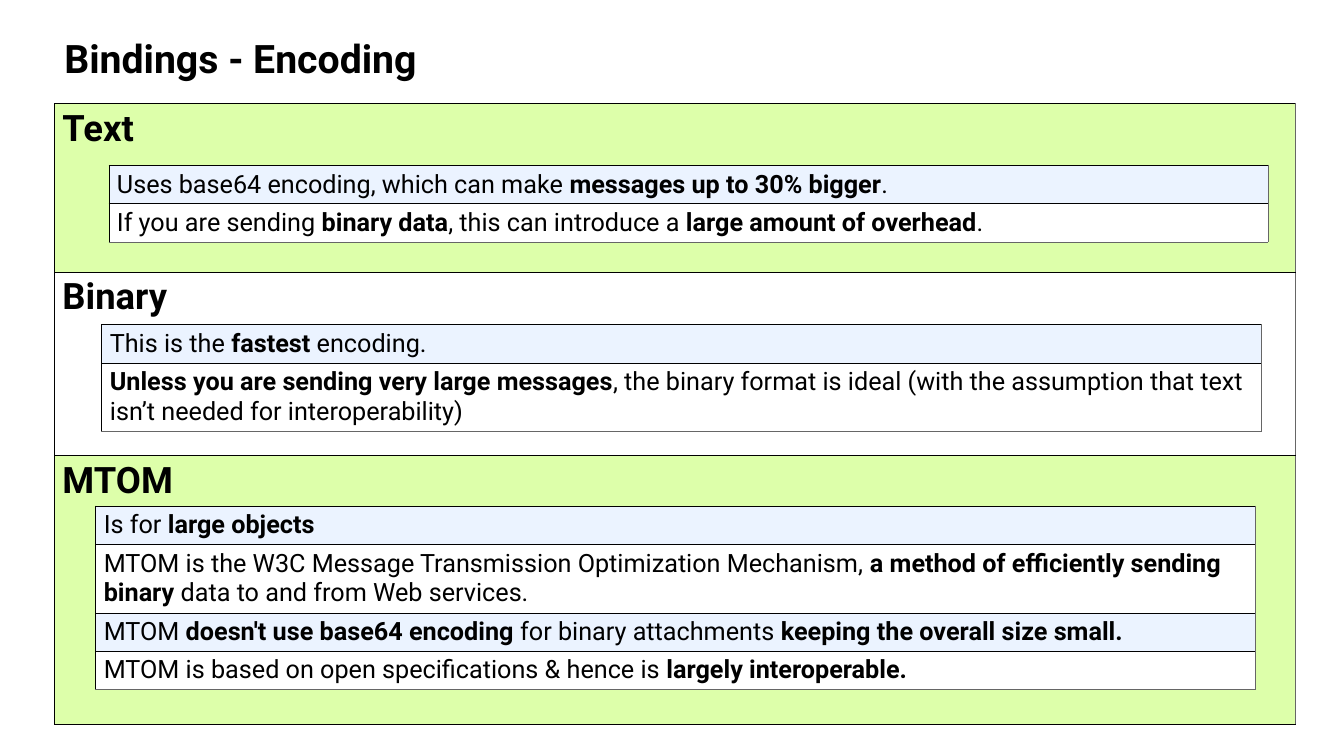
from lxml import etree
from pptx import Presentation
from pptx import util as u
from pptx.dml.color import RGBColor
from pptx.enum import text
from pptx.oxml.ns import qn

BLACK, GREY, WHITE = "000000", "666666", "FFFFFF"
LIME, PALE_BLUE = "DDFFAA", "EBF3FF"
COLUMNS, ROWS = 160, 90
SINGLE, DOUBLE = 4.56, 8.16

SECTIONS = [
    ("Text", 20.04, 12.96, 19.68, [
        ("Uses base64 encoding, which can make **messages up to 30% bigger**.", SINGLE),
        ("If you are sending **binary data**, this can introduce a "
         "**large amount of overhead**.", SINGLE),
    ]),
    ("Binary", 21.84, 12.12, 38.64, [
        ("This is the **fastest** encoding.", SINGLE),
        ("**Unless you are sending very large messages**, the binary format is ideal "
         "(with the assumption that text isn’t needed for interoperability)", DOUBLE),
    ]),
    ("MTOM", 32.04, 11.4, 60.24, [
        ("Is for **large objects**", SINGLE),
        ("MTOM is the W3C Message Transmission Optimization Mechanism, "
         "**a method of efficiently sending binary **data to and from Web services.", DOUBLE),
        ("MTOM **doesn't use base64 encoding **for binary attachments "
         "**keeping the overall size small.**", SINGLE),
        ("MTOM is based on open specifications & hence is **largely interoperable.**", SINGLE),
    ]),
]


def color(value):
    return RGBColor.from_string(value)


class Page:
    font = "Roboto"
    border_width = u.Pt(0.6)

    def __init__(self, deck):
        self.slide = deck.slides.add_slide(deck.slide_layouts[6])
        self.column = deck.slide_width / COLUMNS
        self.row = deck.slide_height / ROWS

    def area(self, left, top, width, height):
        return (round(left * self.column), round(top * self.row),
                round(width * self.column), round(height * self.row))

    def fill_para(self, para, content, size, bold=False):
        for index, part in enumerate(content.split("**")):
            if part:
                span = para.add_run()
                span.text = part
                if index % 2:
                    span.font.bold = True
        para.font.name = self.font
        para.font.size = u.Pt(size)
        para.font.bold = bold
        para.font.color.rgb = color(BLACK)

    def title(self, content, *place):
        box = self.slide.shapes.add_textbox(*self.area(*place))
        box.text_frame.word_wrap = True
        box.text_frame.auto_size = text.MSO_AUTO_SIZE.SHAPE_TO_FIT_TEXT
        self.fill_para(box.text_frame.paragraphs[0], content, 28, bold=True)

    def borders(self, cell, bottom):
        properties = cell._tc.get_or_add_tcPr()
        sides = {"lnL": BLACK, "lnR": GREY, "lnT": BLACK, "lnB": bottom}
        for index, (side, shade) in enumerate(sides.items()):
            line = etree.Element(qn(f"a:{side}"), w=str(int(self.border_width)))
            fill = etree.SubElement(line, qn("a:solidFill"))
            etree.SubElement(fill, qn("a:srgbClr"), val=shade)
            properties.insert(index, line)

    def table(self, left, top, width, rows, band, size, bold, anchor, last_border):
        height = sum(row_height for _, row_height in rows)
        place = self.area(left, top, width, height)
        table = self.slide.shapes.add_table(len(rows), 1, *place).table
        table.first_row = table.horz_banding = False
        for index, (content, row_height) in enumerate(rows):
            table.rows[index].height = round(row_height * self.row)
            cell = table.cell(index, 0)
            cell.margin_left = cell.margin_right = u.Inches(0.08)
            cell.margin_top = cell.margin_bottom = u.Inches(0.04)
            cell.vertical_anchor = anchor
            cell.fill.solid()
            cell.fill.fore_color.rgb = color(WHITE if index % 2 else band)
            self.borders(cell, last_border if index == len(rows) - 1 else BLACK)
            self.fill_para(cell.text_frame.paragraphs[0], content, size, bold)


def main():
    deck = Presentation()
    deck.slide_width, deck.slide_height = u.Inches(13.33), u.Inches(7.5)
    page = Page(deck)
    page.title("Bindings - Encoding", 6.48, 3.48, 150, 18.12)
    headings = [(heading, height) for heading, height, *_ in SECTIONS]
    page.table(6.48, 12.36, 147.72, headings, LIME, 26, True,
               text.MSO_ANCHOR.TOP, BLACK)
    for _, _, left, top, points in SECTIONS:
        page.table(left, top, 138, points, PALE_BLUE, 18, False,
                   text.MSO_ANCHOR.MIDDLE, GREY)
    deck.save("out.pptx")


if __name__ == "__main__":
    main()
